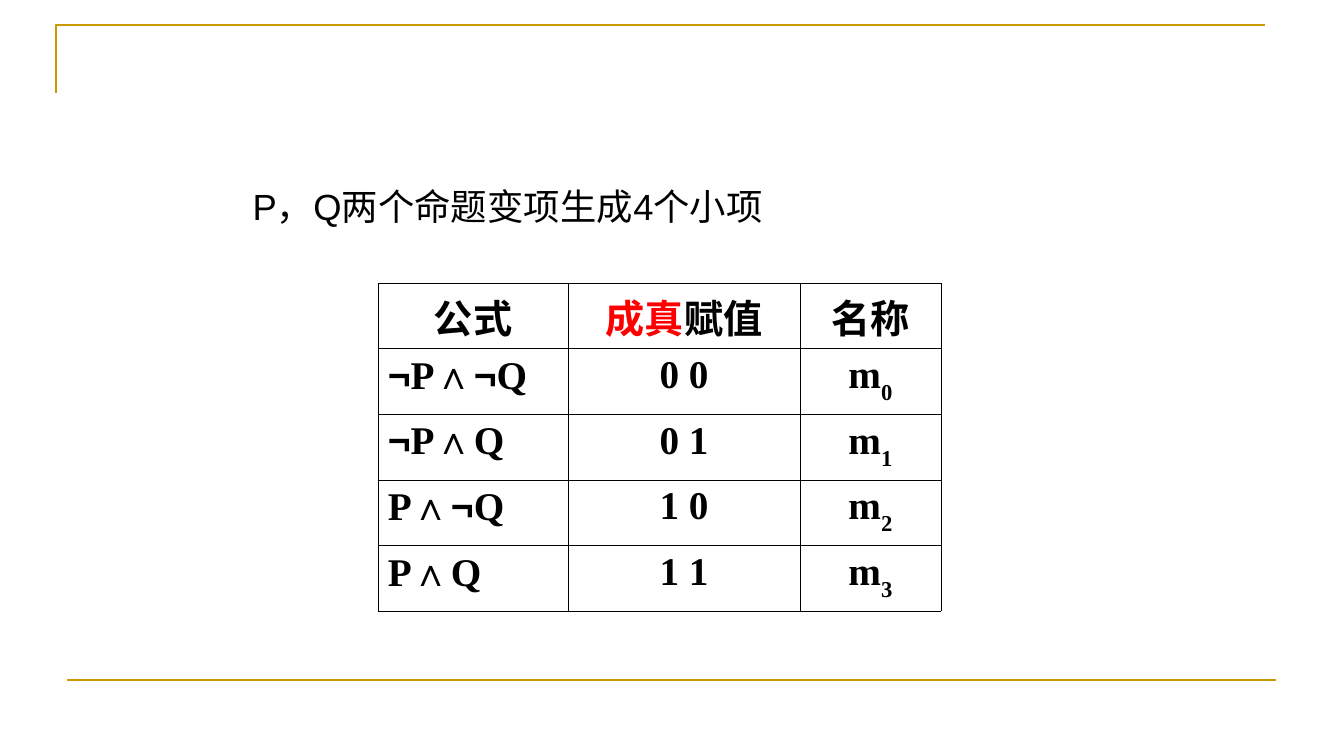
import itertools

import pptx
import pptx.dml.color
import pptx.enum.shapes
import pptx.enum.text
import pptx.oxml
import pptx.oxml.ns
import pptx.util

Inches = pptx.util.Inches
Pt = pptx.util.Pt
Color = pptx.dml.color.RGBColor
CENTER = pptx.enum.text.PP_ALIGN.CENTER

GOLD = Color(0xCC, 0x99, 0x00)
BLACK = Color(0, 0, 0)
RED = Color(0xFF, 0, 0)
SANS, SERIF = "Arial", "Times New Roman"

HEADS = [[("公式", BLACK)], [("成真", RED), ("赋值", BLACK)], [("名称", BLACK)]]
TERMS = ["¬P∧¬Q", "¬P∧Q", "P∧¬Q", "P∧Q"]
WIDTHS = [1.89, 2.3, 1.4]
ROW = 0.65


def add_run(para, text, size=28, face=SERIF, color=BLACK, bold=True, sub=False):
    run = para.add_run()
    run.text = text
    font = run.font
    font.size, font.name, font.bold = Pt(size), face, bold
    font.color.rgb = color
    if sub:
        run._r.get_or_add_rPr().set("baseline", "-30000")


def style_line(shape):
    shape.line.color.rgb = GOLD
    shape.line.width = Pt(1.5)


def add_frame(slide):
    # Corner at the top left
    build = slide.shapes.build_freeform(Inches(0.56), Inches(0.92))
    build.add_line_segments(
        [(Inches(0.56), Inches(0.25)), (Inches(12.56), Inches(0.25))], close=False)
    corner = build.convert_to_shape()
    corner.fill.background()
    corner.shadow.inherit = False
    style_line(corner)
    # Rule at the bottom
    rule = slide.shapes.add_connector(
        pptx.enum.shapes.MSO_CONNECTOR.STRAIGHT,
        Inches(0.67), Inches(6.75), Inches(12.67), Inches(6.75))
    style_line(rule)
    props = rule._element.spPr
    props.append(props.makeelement(pptx.oxml.ns.qn("a:effectLst"), {}))


def add_title(slide, text):
    box = slide.shapes.add_textbox(
        Inches(2.41), Inches(1.78), Inches(6.63), Inches(4.96))
    box.text_frame.word_wrap = True
    add_run(box.text_frame.paragraphs[0], text, size=26, face=SANS, bold=False)


def style_cell(cell):
    props = cell._tc.get_or_add_tcPr()
    for side in ("lnL", "lnR", "lnT", "lnB"):
        props.append(pptx.oxml.parse_xml(
            f'<a:{side} {pptx.oxml.ns.nsdecls("a")} w="{Pt(0.45)}">'
            f'<a:solidFill><a:srgbClr val="{BLACK}"/></a:solidFill></a:{side}>'))
    cell.fill.background()


def add_table(slide):
    count = len(TERMS) + 1
    table = slide.shapes.add_table(
        count, len(WIDTHS), Inches(3.75), Inches(2.81),
        Inches(sum(WIDTHS)), Inches(ROW * count)).table
    table.first_row = table.horz_banding = False
    for col, width in zip(table.columns, WIDTHS):
        col.width = Inches(width)
    for row in table.rows:
        row.height = Inches(ROW)
    for cell in table.iter_cells():
        style_cell(cell)

    # Header row
    for cell, parts in zip(table.rows[0].cells, HEADS):
        para = cell.text_frame.paragraphs[0]
        para.alignment = CENTER
        for text, color in parts:
            add_run(para, text, color=color)

    # One row for each minterm: formula, assignment, name
    for index, term in enumerate(TERMS):
        form, value, name = [
            cell.text_frame.paragraphs[0] for cell in table.rows[index + 1].cells]
        for letter, chars in itertools.groupby(term, str.isalpha):
            add_run(form, "".join(chars), face=SERIF if letter else SANS)
        value.alignment = name.alignment = CENTER
        add_run(value, " ".join(f"{index:02b}"))
        add_run(name, "m")
        add_run(name, str(index), sub=True)


def main():
    deck = pptx.Presentation()
    deck.slide_width, deck.slide_height = Inches(13.34), Inches(7.5)
    slide = deck.slides.add_slide(deck.slide_layouts[6])
    add_frame(slide)
    add_title(slide, "P，Q两个命题变项生成4个小项")
    add_table(slide)
    deck.save("out.pptx")


if __name__ == "__main__":
    main()
